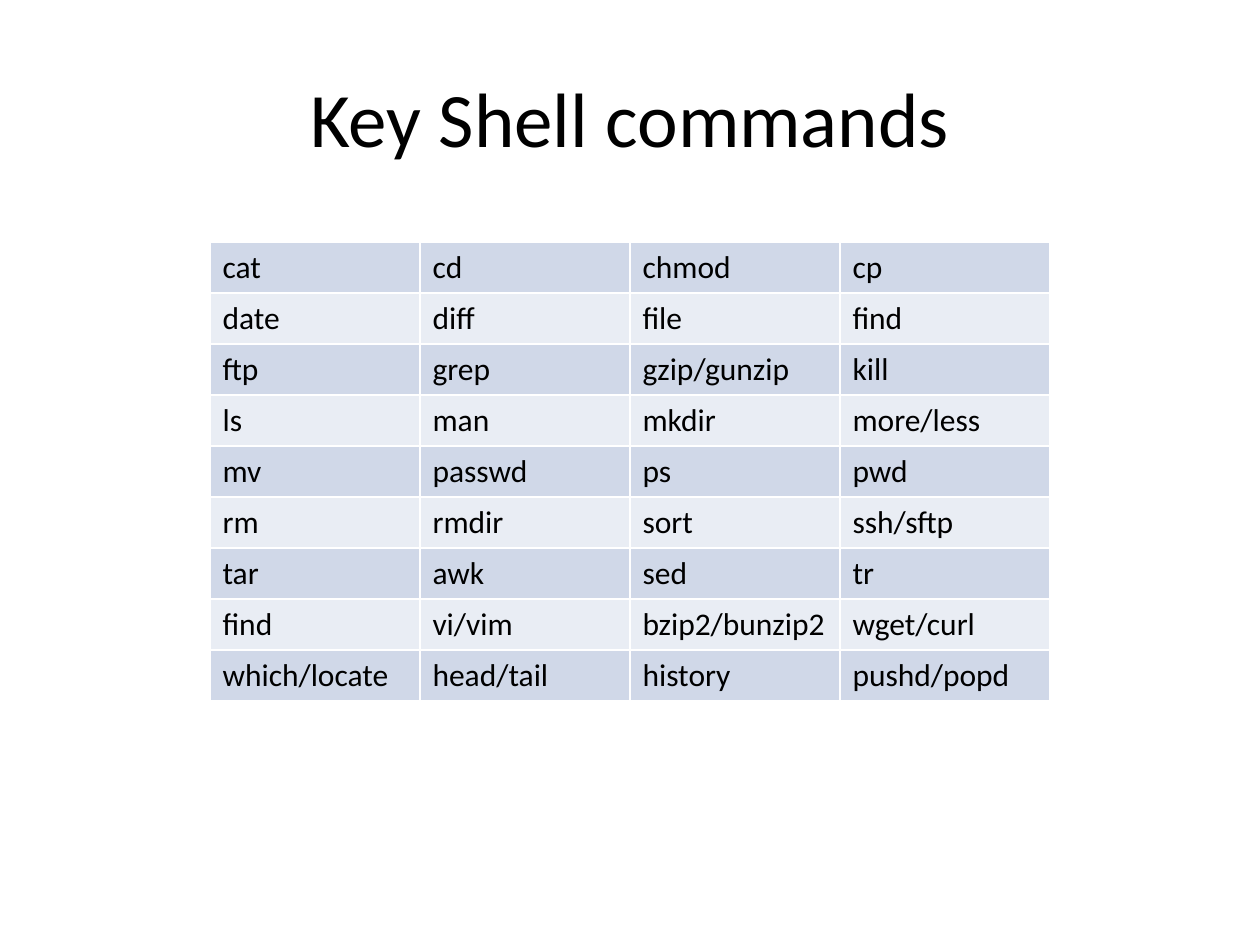
from lxml.etree import SubElement
from pptx import Presentation
from pptx.dml.color import RGBColor
from pptx.enum.text import MSO_ANCHOR, PP_ALIGN
from pptx.oxml.ns import qn
from pptx.util import Emu, Pt

FONT = "Calibri"
INK = "000000"
RULE = "FFFFFF"
BANDS = ("D0D8E8", "E9EDF4")
COL, ROW = 210, 51
NAMES = [
    ["cat", "cd", "chmod", "cp"],
    ["date", "diff", "file", "find"],
    ["ftp", "grep", "gzip/gunzip", "kill"],
    ["ls", "man", "mkdir", "more/less"],
    ["mv", "passwd", "ps", "pwd"],
    ["rm", "rmdir", "sort", "ssh/sftp"],
    ["tar", "awk", "sed", "tr"],
    ["find", "vi/vim", "bzip2/bunzip2", "wget/curl"],
    ["which/locate", "head/tail", "history", "pushd/popd"],
]


def px(n):
    """Turn pixels, 126 to the inch, into EMU."""
    return Emu(round(n * 914400 / 126))


def color(code):
    return RGBColor.from_string(code)


def add_run(para, text, size):
    run = para.add_run()
    run.text = text
    run.font.name = FONT
    run.font.size = Pt(size)
    run.font.color.rgb = color(INK)


def add_title(slide, text):
    box = slide.shapes.add_textbox(px(63), px(38), px(1134), px(158))
    frame = box.text_frame
    frame.word_wrap = True
    frame.vertical_anchor = MSO_ANCHOR.MIDDLE
    para = frame.paragraphs[0]
    para.alignment = PP_ALIGN.CENTER
    add_run(para, text, 44)


def add_rules(cell):
    """Draw a thin line on each side of a cell."""
    props = cell._tc.get_or_add_tcPr()
    for side in ("lnL", "lnR", "lnT", "lnB"):
        line = SubElement(props, qn(f"a:{side}"), w=str(Pt(1)))
        fill = SubElement(line, qn("a:solidFill"))
        SubElement(fill, qn("a:srgbClr"), val=RULE)


def add_grid(slide, rows):
    count, width = len(rows), len(rows[0])
    frame = slide.shapes.add_table(
        count, width, px(210), px(242), px(width * COL), px(count * ROW))
    table = frame.table
    table.first_row = False
    table.horz_banding = False
    for col in table.columns:
        col.width = px(COL)
    for i, names in enumerate(rows):
        table.rows[i].height = px(ROW)
        for j, name in enumerate(names):
            cell = table.cell(i, j)
            add_rules(cell)
            cell.fill.solid()
            cell.fill.fore_color.rgb = color(BANDS[i % 2])
            add_run(cell.text_frame.paragraphs[0], name, 18)


def main():
    deck = Presentation()
    deck.slide_width, deck.slide_height = px(1260), px(945)
    slide = deck.slides.add_slide(deck.slide_layouts[6])
    add_title(slide, "Key Shell commands")
    add_grid(slide, NAMES)
    deck.save("out.pptx")


if __name__ == "__main__":
    main()
